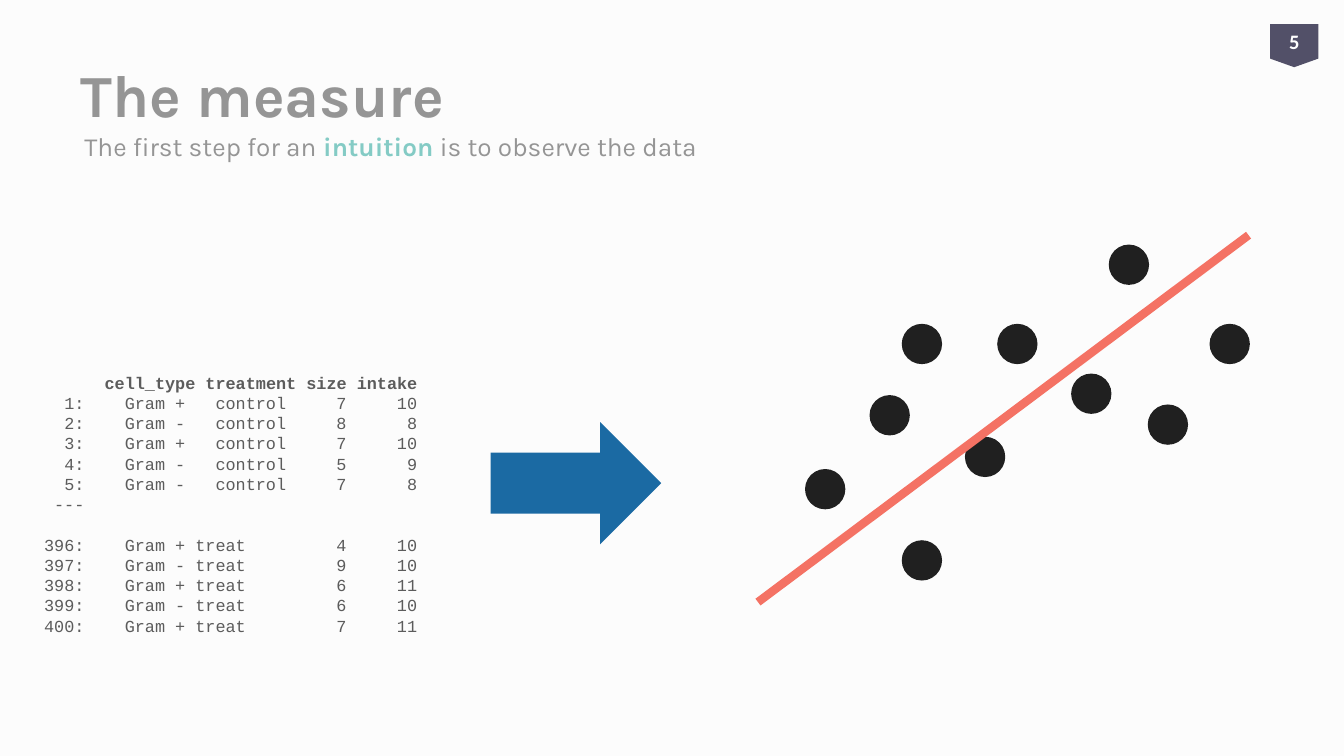
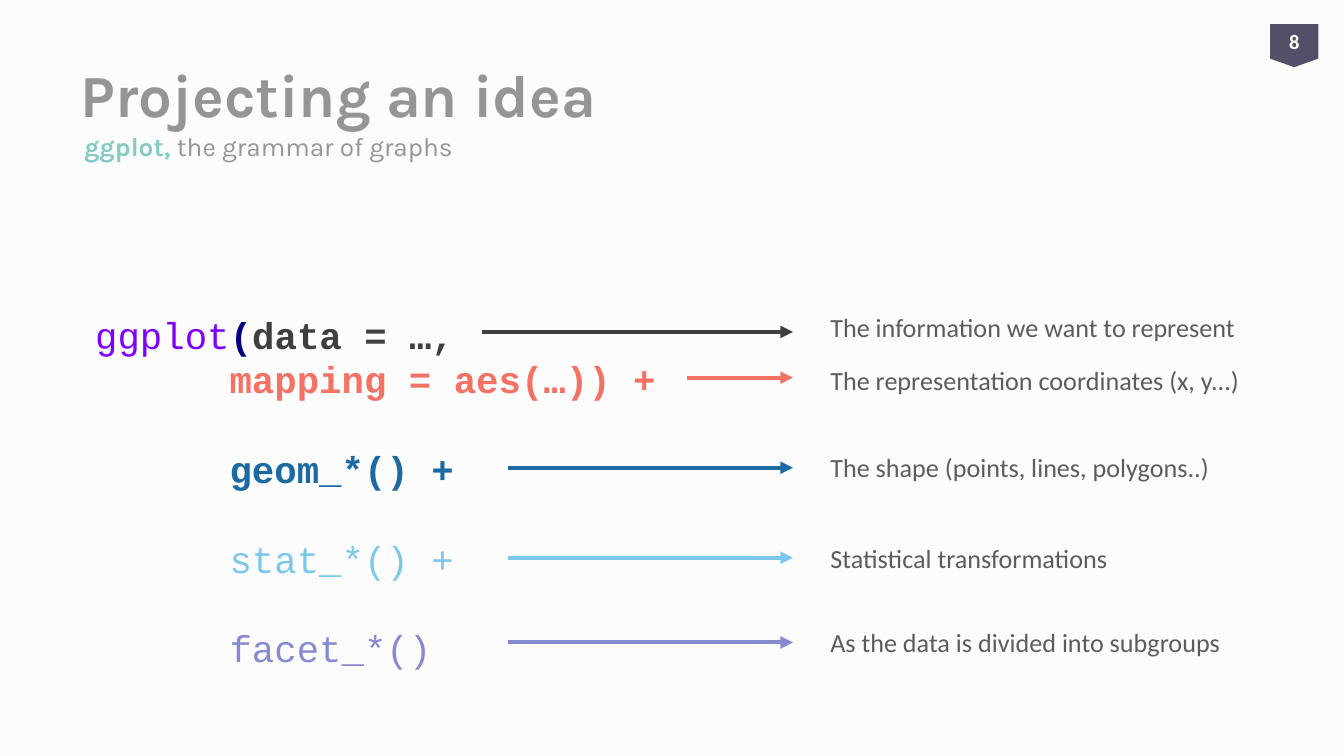
import pptx
import pptx.util
import pptx.dml.color
import pptx.enum.shapes
import pptx.enum.text
import pptx.oxml.ns
import lxml.etree

Pt = pptx.util.Pt
SHAPE = pptx.enum.shapes.MSO_SHAPE
MIDDLE = pptx.enum.text.MSO_ANCHOR.MIDDLE
ALIGN = pptx.enum.text.PP_ALIGN
qn = pptx.oxml.ns.qn

colours = {
    "paper": "FCFCFC", "heading": "959595", "accent": "84CBC5", "body": "5C5C5C",
    "badge": "525068", "white": "FFFFFF", "dot": "202020", "ink": "3F3F3F",
    "coral": "F47264", "blue": "1B6AA3", "sky": "7CC8EC", "lilac": "868AD1",
    "purple": "8000FF", "navy": "000080",
}
title_font = {"name": "Karla", "size": Pt(32), "bold": True}
subtitle_font = {"name": "Karla", "size": Pt(14)}
badge_font = {"name": "Calibri", "size": Pt(11), "bold": True}
label_font = {"name": "Calibri", "size": Pt(14)}
listing_font = {"name": "Courier New", "size": Pt(9)}
code_font = {"name": "Courier New", "size": Pt(20)}

deck = pptx.Presentation()
deck.slide_width = pptx.util.Inches(10)
deck.slide_height = deck.slide_width * 9 // 16
col = deck.slide_width / 100
row = deck.slide_height / 56.25


def grid(*cells):
    return [round(cell * (row if i % 2 else col)) for i, cell in enumerate(cells)]


def write(paragraph, text, colour, formats, bold=False):
    font_values = {"bold": bold, **formats}
    run = paragraph.add_run()
    run.text = text
    for key, value in font_values.items():
        setattr(run.font, key, value)
    run.font.color.rgb = pptx.dml.color.RGBColor.from_string(colours[colour])


headings = [
    ("The measure", "5", [("The first step for an ", "heading"), ("intuition", "accent"),
                          (" is to observe the data", "heading")]),
    ("Projecting an idea", "8", [("ggplot,", "accent"), (" the grammar of graphs", "heading")]),
]

dots = [(74.2, 24.1), (64.7, 29.4), (67.1, 24.1), (71.8, 32.5), (79.7, 27.8),
        (67.1, 40.2), (90, 24.1), (59.9, 34.9), (82.5, 18.2), (85.4, 30.1)]
filled_shapes = {
    0: [(SHAPE.OVAL, (x, y, 3, 3), "dot") for x, y in dots]
    + [(SHAPE.RIGHT_ARROW, (36.5, 31.4, 12.7, 9.1), "blue")],
    1: [],
}
lines = {
    0: [((56.4, 44.8, 92.9, 17.5), "coral", 4.5)],
    1: [((start, y, 59, y), colour, 2.25) for start, y, colour in [
        (35.9, 24.7, "ink"), (51.1, 28.1, "coral"), (37.8, 34.8, "blue"),
        (37.8, 41.5, "sky"), (37.8, 47.8, "lilac")]],
}

for number, (title, page, subtitle) in enumerate(headings):
    slide = deck.slides.add_slide(deck.slide_layouts[5])
    slide.background.fill.solid()
    slide.background.fill.fore_color.rgb = pptx.dml.color.RGBColor.from_string(colours["paper"])

    heading = slide.shapes.title
    heading.left, heading.top, heading.width, heading.height = grid(5, 2.3, 73.3, 9.4)
    heading.text_frame.vertical_anchor = MIDDLE
    heading.text_frame.paragraphs[0].alignment = ALIGN.LEFT
    write(heading.text_frame.paragraphs[0], title, "heading", title_font)

    tagline = slide.shapes.add_textbox(*grid(5.3, 8.9, 53.4, 4)).text_frame
    tagline.word_wrap = True
    tagline.vertical_anchor = MIDDLE
    for text, colour in subtitle:
        write(tagline.paragraphs[0], text, colour, subtitle_font, colour == "accent")

    badge = (SHAPE.FLOWCHART_OFFPAGE_CONNECTOR, (94.5, 1.8, 3.6, 3.2), "badge")
    for kind, cells, colour in filled_shapes[number] + [badge]:
        figure = slide.shapes.add_shape(kind, *grid(*cells))
        figure.shadow.inherit = False
        figure.fill.solid()
        figure.fill.fore_color.rgb = pptx.dml.color.RGBColor.from_string(colours[colour])
        figure.line.fill.background()
    figure.text_frame.vertical_anchor = MIDDLE
    figure.text_frame.paragraphs[0].alignment = ALIGN.CENTER
    write(figure.text_frame.paragraphs[0], page, "white", badge_font)

    for ends, colour, weight in lines[number]:
        stroke = slide.shapes.add_connector(pptx.enum.shapes.MSO_CONNECTOR.STRAIGHT, *grid(*ends))
        stroke.line.width = Pt(weight)
        stroke.line.color.rgb = pptx.dml.color.RGBColor.from_string(colours[colour])
        if number == 1:
            lxml.etree.SubElement(stroke.line._get_or_add_ln(), qn("a:tailEnd"), type="triangle")
        lxml.etree.SubElement(stroke._element.spPr, qn("a:effectLst"))

measure, idea = deck.slides

records = [
    ("1:", "Gram +", "control", "7", "10"),
    ("2:", "Gram -", "control", "8", "8"),
    ("3:", "Gram +", "control", "7", "10"),
    ("4:", "Gram -", "control", "5", "9"),
    ("5:", "Gram -", "control", "7", "8"),
    ("---",),
    ("396:", "Gram +", "treat", "4", "10"),
    ("397:", "Gram -", "treat", "9", "10"),
    ("398:", "Gram +", "treat", "6", "11"),
    ("399:", "Gram -", "treat", "6", "10"),
    ("400:", "Gram +", "treat", "7", "11"),
]
letter = Pt(5.4)
leading = Pt(10.85)
listing = measure.shapes.add_textbox(*grid(2.3, 27.2, 29.8, 19.2)).text_frame
listing.word_wrap = True
for i, record in enumerate([("cell_type treatment size intake",)] + records):
    entry = listing.add_paragraph() if i else listing.paragraphs[0]
    entry.line_spacing = leading
    if record[0] == "396:":
        entry.space_before = leading
    treatment_start = 17 if "control" in record else 15
    stops = [(4, "r"), (8, "l"), (treatment_start, "l"), (30, "r"), (37, "r")] if i else [(6, "l")]
    tab_list = lxml.etree.SubElement(entry._p.get_or_add_pPr(), qn("a:tabLst"))
    for letters, side in stops:
        lxml.etree.SubElement(tab_list, qn("a:tab"), pos=str(letters * letter), algn=side)
    write(entry, "\t" + "\t".join(record), "body", listing_font, i == 0)

calls = [
    (0, 0, [("ggplot", "purple", False), ("(", "navy", True), ("data = …,", "ink", True)]),
    (10, 0, [("mapping = aes(…)) +", "coral", True)]),
    (10, 24, [("geom_*() +", "blue", True)]),
    (10, 24, [("stat_*() +", "sky", False)]),
    (10, 24, [("facet_*()", "lilac", False)]),
]
grammar = idea.shapes.add_textbox(*grid(6.1, 22.7, 44, 27.9)).text_frame
grammar.word_wrap = True
for i, (indent, gap, parts) in enumerate(calls):
    call = grammar.add_paragraph() if i else grammar.paragraphs[0]
    call.line_spacing = Pt(24)
    call.space_before = Pt(gap)
    call._p.get_or_add_pPr().set("marL", str(round(indent * col)))
    for text, colour, bold in parts:
        write(call, text, colour, code_font, bold)

meanings = [
    (22.7, "The information we want to represent"),
    (26.6, "The representation coordinates (x, y...)"),
    (33.1, "The shape (points, lines, polygons..)"),
    (39.9, "Statistical transformations"),
    (46.1, "As the data is divided into subgroups"),
]
for top, text in meanings:
    meaning = idea.shapes.add_textbox(*grid(60.8, top, 37.3, 3.4)).text_frame
    meaning.word_wrap = True
    write(meaning.paragraphs[0], text, "body", label_font)

deck.save("out.pptx")
